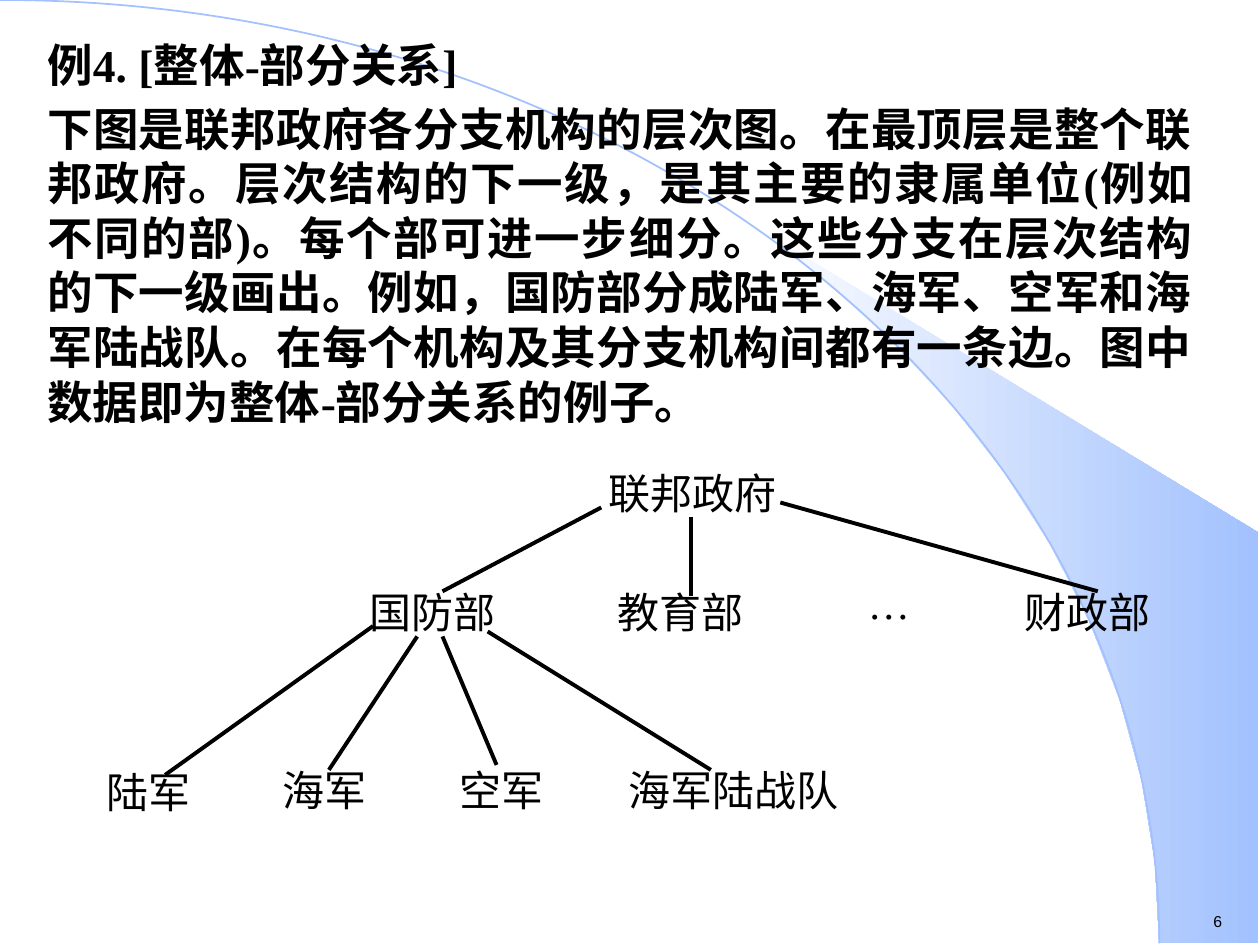
from math import cos, radians, sin

from pptx import Presentation
from pptx.dml.color import RGBColor
from pptx.enum.shapes import MSO_CONNECTOR
from pptx.enum.text import MSO_AUTO_SIZE, PP_ALIGN
from pptx.oxml.ns import qn
from pptx.util import Cm, Pt
from lxml.etree import SubElement


def rgb(code):
    return RGBColor.from_string(code)


def label(text, x, y, wide, high, size, font, align):
    """Add a one-line text box without margins."""
    box = slide.shapes.add_textbox(Cm(x), Cm(y), Cm(wide), Cm(high))
    frame = box.text_frame
    frame.word_wrap = True
    frame.margin_left = frame.margin_right = 0
    frame.margin_top = frame.margin_bottom = 0
    para = frame.paragraphs[0]
    para.text = text
    para.alignment = align
    para.font.size = Pt(size)
    para.font.name = font
    para.font.color.rgb = rgb("000000")
    return para


deck = Presentation()
deck.slide_width, deck.slide_height = Cm(25.4), Cm(19.05)
slide = deck.slides.add_slide(deck.slide_layouts[1])
head, body = slide.placeholders
tree = head.element.getparent()
tree.remove(head.element)

# Background: a wedge whose inner edge follows a quarter ellipse
wide, high = 23.37, 19.02
rim = [(Cm(wide * sin(radians(a))), Cm(high * (1 - cos(radians(a)))))
       for a in range(40, 91, 5)]
rim += [(Cm(25.37), Cm(high)), (Cm(25.37), Cm(10.74))]
pen = slide.shapes.build_freeform(*rim[0])
pen.add_line_segments(rim[1:])
wedge = pen.convert_to_shape()
wedge.shadow.inherit = False
wedge.fill.gradient()
wedge.fill.gradient_angle = 0
for stop, code in zip(wedge.fill.gradient_stops, ("FFFFFF", "A2C1FE")):
    stop.color.rgb = rgb(code)
wedge.line.fill.background()

# The quarter ellipse itself, as one Bezier curve
pen = slide.shapes.build_freeform(0, 0)
pen.add_line_segments([(Cm(wide), Cm(high))], close=False)
arc = pen.convert_to_shape()
arc.shadow.inherit = False
arc.fill.background()
arc.line.color.rgb = rgb("A2C1FE")
arc.line.width = Pt(1)
curve = next(arc.element.iter(qn("a:lnTo")))
curve.tag = qn("a:cubicBezTo")
curve.clear()
for x, y in ((0.552 * wide, 0), (wide, 0.448 * high), (wide, high)):
    SubElement(curve, qn("a:pt"), x=str(Cm(x)), y=str(Cm(y)))

label("6", 24.46, 18.39, 0.64, 0.38, 9, "Arial", PP_ALIGN.LEFT)

# Body text, in front of the background
tree.append(body.element)
body.left, body.top, body.width, body.height = Cm(0.7), Cm(0.62), Cm(23.6), Cm(8.31)
frame = body.text_frame
frame.auto_size = MSO_AUTO_SIZE.NONE
frame.text = (
    "例4. [整体-部分关系]\n"
    "下图是联邦政府各分支机构的层次图。在最顶层是整个联邦政府。"
    "层次结构的下一级，是其主要的隶属单位(例如不同的部)。"
    "每个部可进一步细分。这些分支在层次结构的下一级画出。"
    "例如，国防部分成陆军、海军、空军和海军陆战队。"
    "在每个机构及其分支机构间都有一条边。图中数据即为整体-部分关系的例子。"
)
for para, gap in zip(frame.paragraphs, (0, 5.2)):
    para.alignment = PP_ALIGN.JUSTIFY
    para.space_before = Pt(gap)
    props = para._p.get_or_add_pPr()
    props.set("marL", "0")
    props.set("indent", "0")
    SubElement(props, qn("a:buNone"))
    para.font.size = Pt(26)
    para.font.bold = True
    para.font.name = "Times New Roman"
    para.font.color.rgb = rgb("000000")

# Hierarchy: text, left, top, width
units = [
    ("联邦政府", 12.1, 9.42, 3.71),
    ("国防部", 7.42, 11.83, 2.59),
    ("教育部", 12.42, 11.83, 2.59),
    ("财政部", 20.52, 11.83, 2.79),
    ("陆军", 1.7, 15.46, 2.59),
    ("海军", 5.24, 15.42, 2.59),
    ("空军", 8.81, 15.42, 2.59),
    ("海军陆战队", 12.43, 15.42, 4.7),
]
for text, x, y, span in units:
    label(text, x, y, span, 1.02, 24, "Times New Roman", PP_ALIGN.CENTER)
dots = label("…", 17.02, 12.01, 1.8, 0.61, 24, "Times New Roman", PP_ALIGN.CENTER)
dots.line_spacing = 0.6

edges = [
    (12.12, 10.23, 8.92, 11.92),
    (13.93, 10.42, 13.93, 12.02),
    (15.73, 10.13, 22.13, 11.92),
    (7.52, 12.62, 3.33, 15.62),
    (8.41, 12.83, 6.63, 15.52),
    (8.92, 12.83, 10.01, 15.42),
    (9.83, 12.73, 14.33, 15.52),
]
for ends in edges:
    edge = slide.shapes.add_connector(MSO_CONNECTOR.STRAIGHT, *map(Cm, ends))
    edge.line.color.rgb = rgb("000000")
    edge.line.width = Pt(2.25)
    SubElement(edge.element.spPr, qn("a:effectLst"))

deck.save("out.pptx")
